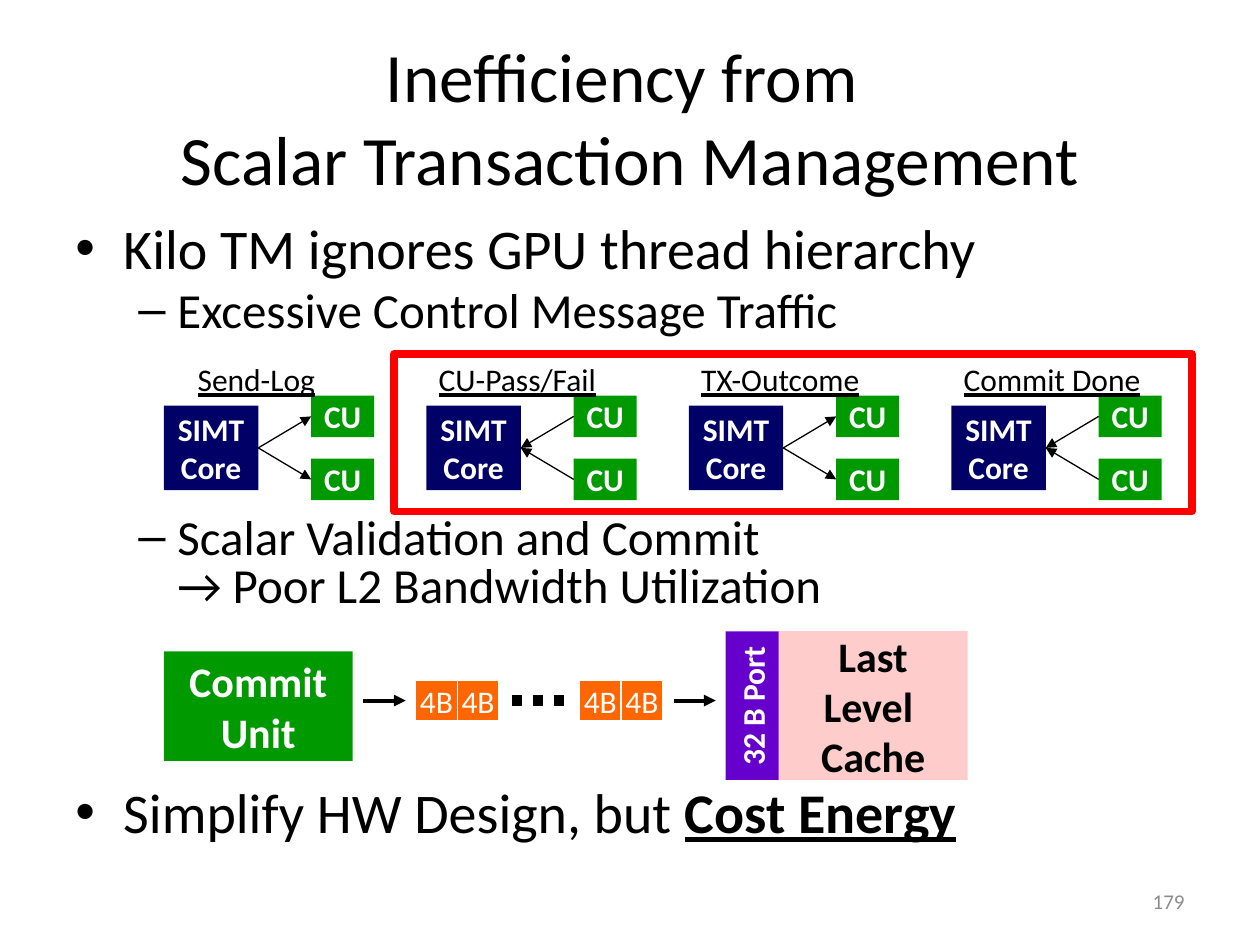
from collections import namedtuple

from lxml import etree
from pptx import Presentation
from pptx.dml.color import RGBColor
from pptx.enum.dml import MSO_LINE
from pptx.enum.shapes import MSO_CONNECTOR, MSO_SHAPE
from pptx.enum.text import MSO_ANCHOR, PP_ALIGN
from pptx.oxml.ns import qn
from pptx.util import Inches, Pt

RECTANGLE = MSO_SHAPE.RECTANGLE
STRAIGHT = MSO_CONNECTOR.STRAIGHT
DOTTED = MSO_LINE.ROUND_DOT
TOP, MIDDLE = MSO_ANCHOR.TOP, MSO_ANCHOR.MIDDLE
LEFT, CENTER, RIGHT = PP_ALIGN.LEFT, PP_ALIGN.CENTER, PP_ALIGN.RIGHT

BLACK = RGBColor(0x00, 0x00, 0x00)
WHITE = RGBColor(0xFF, 0xFF, 0xFF)
GRAY = RGBColor(0x8C, 0x8C, 0x8C)
NAVY = RGBColor(0x00, 0x00, 0x66)
GREEN = RGBColor(0x00, 0x99, 0x00)
RED = RGBColor(0xFF, 0x00, 0x00)
PINK = RGBColor(0xFF, 0xCC, 0xCC)
PURPLE = RGBColor(0x66, 0x00, 0xCC)
ORANGE = RGBColor(0xFF, 0x66, 0x00)

FONT = "Calibri"
LEFT_SIDE, RIGHT_SIDE = 1, 3

Box = namedtuple("Box", "left top width height")


def inch_box(left, top, width, height):
    return Box(Inches(left), Inches(top), Inches(width), Inches(height))


def inside(box, left, top, width, height):
    return Box(box.left + Inches(left), box.top + Inches(top), Inches(width), Inches(height))


def add_run(para, text, size, color=BLACK, bold=False, underline=False):
    span = para.add_run()
    span.text = text
    span.font.name = FONT
    span.font.size = Pt(size)
    span.font.color.rgb = color
    span.font.bold = bold
    span.font.underline = underline


def add_text(shapes, box, anchor=TOP):
    frame = shapes.add_textbox(*box).text_frame
    frame.word_wrap = True
    frame.vertical_anchor = anchor
    return frame


def add_block(shapes, box, lines, size, fill, color=WHITE, bold=True, border=None):
    block = shapes.add_shape(RECTANGLE, *box)
    block.shadow.inherit = False
    block.fill.solid()
    block.fill.fore_color.rgb = fill
    if border is None:
        block.line.fill.background()
    else:
        block.line.color.rgb = border
        block.line.width = Pt(0.75)
    frame = block.text_frame
    frame.word_wrap = False
    frame.vertical_anchor = MIDDLE
    for number, line in enumerate(lines):
        para = frame.add_paragraph() if number else frame.paragraphs[0]
        para.alignment = CENTER
        add_run(para, line, size, color, bold)
    return block


def add_line(shapes, start, end, width, arrow=True):
    connector = shapes.add_connector(STRAIGHT, *start, *end)
    connector.line.color.rgb = BLACK
    connector.line.width = Pt(width)
    if arrow:
        etree.SubElement(connector.line._get_or_add_ln(), qn("a:tailEnd"), type="triangle")
    etree.SubElement(connector._element.spPr, qn("a:effectLst"))
    return connector


def side_point(block, side):
    x = block.left + (block.width if side == RIGHT_SIDE else 0)
    return x, block.top + block.height // 2


def join_blocks(shapes, source, source_side, target, target_side):
    arrow = add_line(shapes, side_point(source, source_side), side_point(target, target_side), 0.75)
    arrow.begin_connect(source, source_side)
    arrow.end_connect(target, target_side)


def add_title(page, box):
    para = add_text(page.shapes, box, MIDDLE).paragraphs[0]
    para.alignment = CENTER
    add_run(para, "Inefficiency from ", 39.6)
    para.add_line_break()
    add_run(para, "Scalar Transaction Management", 39.6)


def add_page_number(page, box):
    para = add_text(page.shapes, box, MIDDLE).paragraphs[0]
    para.alignment = RIGHT
    add_run(para, "179", 12, GRAY)


def add_bullet(frame, mark, margin, indent, space_before):
    para = frame.add_paragraph() if space_before else frame.paragraphs[0]
    properties = para._p.get_or_add_pPr()
    properties.set("marL", str(Inches(margin)))
    properties.set("indent", str(-Inches(indent)))
    etree.SubElement(properties, qn("a:buFont"), typeface="Arial")
    etree.SubElement(properties, qn("a:buChar"), char=mark)
    para.line_spacing = 0.8
    para.space_before = Pt(space_before)
    return para


def add_body(page, box):
    frame = add_text(page.shapes, box)
    add_run(add_bullet(frame, "•", 0.38, 0.38, 0), "Kilo TM ignores GPU thread hierarchy", 32)
    add_run(add_bullet(frame, "–", 0.81, 0.31, 6), "Excessive Control Message Traffic", 28)
    para = add_bullet(frame, "–", 0.81, 0.31, 103)
    add_run(para, "Scalar Validation and Commit ", 28)
    para.add_line_break()
    add_run(para, "→ Poor L2 Bandwidth Utilization", 28)
    para = add_bullet(frame, "•", 0.38, 0.38, 102)
    add_run(para, "Simplify HW Design, but ", 32)
    add_run(para, "Cost Energy", 32, bold=True, underline=True)


def add_message(page, box, name, name_left, to_core):
    shapes = page.shapes.add_group_shape().shapes
    core = add_block(shapes, inside(box, 0, 0.41, 0.75, 0.67), ["SIMT", "Core"], 18, NAVY)
    for top in (0.33, 0.83):
        unit = add_block(shapes, inside(box, 1.17, top, 0.5, 0.33), ["CU"], 18, GREEN)
        if to_core:
            join_blocks(shapes, unit, LEFT_SIDE, core, RIGHT_SIDE)
        else:
            join_blocks(shapes, core, RIGHT_SIDE, unit, LEFT_SIDE)
    frame = add_text(shapes, inside(box, name_left, 0, 1.73, 0.4))
    add_run(frame.paragraphs[0], name, 18, underline=True)


def add_messages(page, box):
    messages = [
        ("Send-Log", 0.17, False),
        ("CU-Pass/Fail", 0, True),
        ("TX-Outcome", 0, False),
        ("Commit Done", 0, True),
    ]
    step = 6.25 / (len(messages) - 1)
    for column, message in enumerate(messages):
        add_message(page, inside(box, column * step, 0, 1.67, 1.16), *message)
    frame = page.shapes.add_shape(RECTANGLE, *inside(box, 1.83, 0, 6.33, 1.25))
    frame.shadow.inherit = False
    frame.fill.background()
    frame.line.color.rgb = RED
    frame.line.width = Pt(4.5)


def add_bandwidth(page, box):
    shapes = page.shapes.add_group_shape().shapes
    add_block(shapes, inside(box, 0, 0.16, 1.5, 0.87), ["Commit", "Unit"], 24, GREEN)
    add_block(shapes, inside(box, 4.88, 0, 1.5, 1.18), ["Last", "Level ", "Cache"], 24, PINK, BLACK)
    port = add_block(shapes, inside(box, 4.08, 0.38, 1.18, 0.42), ["32 B Port"], 18, PURPLE)
    port.rotation = 270
    for pair_left in (2, 3.3):
        for offset in (0, 0.33):
            word = inside(box, pair_left + offset, 0.39, 0.33, 0.32)
            add_block(shapes, word, ["4B"], 18, ORANGE, bold=False, border=WHITE)
    middle = box.top + Inches(0.55)
    for start, end in ((1.58, 1.92), (4.05, 4.38)):
        add_line(shapes, (box.left + Inches(start), middle), (box.left + Inches(end), middle), 2.25)
    dots = add_line(
        shapes, (box.left + Inches(2.76), middle), (box.left + Inches(3.23), middle), 6, arrow=False
    )
    dots.line.dash_style = DOTTED


def main():
    deck = Presentation()
    deck.slide_width = Inches(10)
    deck.slide_height = Inches(7.5)
    page = deck.slides.add_slide(deck.slide_layouts[6])
    add_title(page, inch_box(0.5, 0.3, 9, 1.25))
    add_page_number(page, inch_box(7.17, 6.95, 2.33, 0.4))
    add_body(page, inch_box(0.5, 1.75, 9, 5.31))
    add_messages(page, inch_box(1.3, 2.81, 8.16, 1.25))
    add_bandwidth(page, inch_box(1.3, 5.01, 6.38, 1.18))
    deck.save("out.pptx")


if __name__ == "__main__":
    main()
